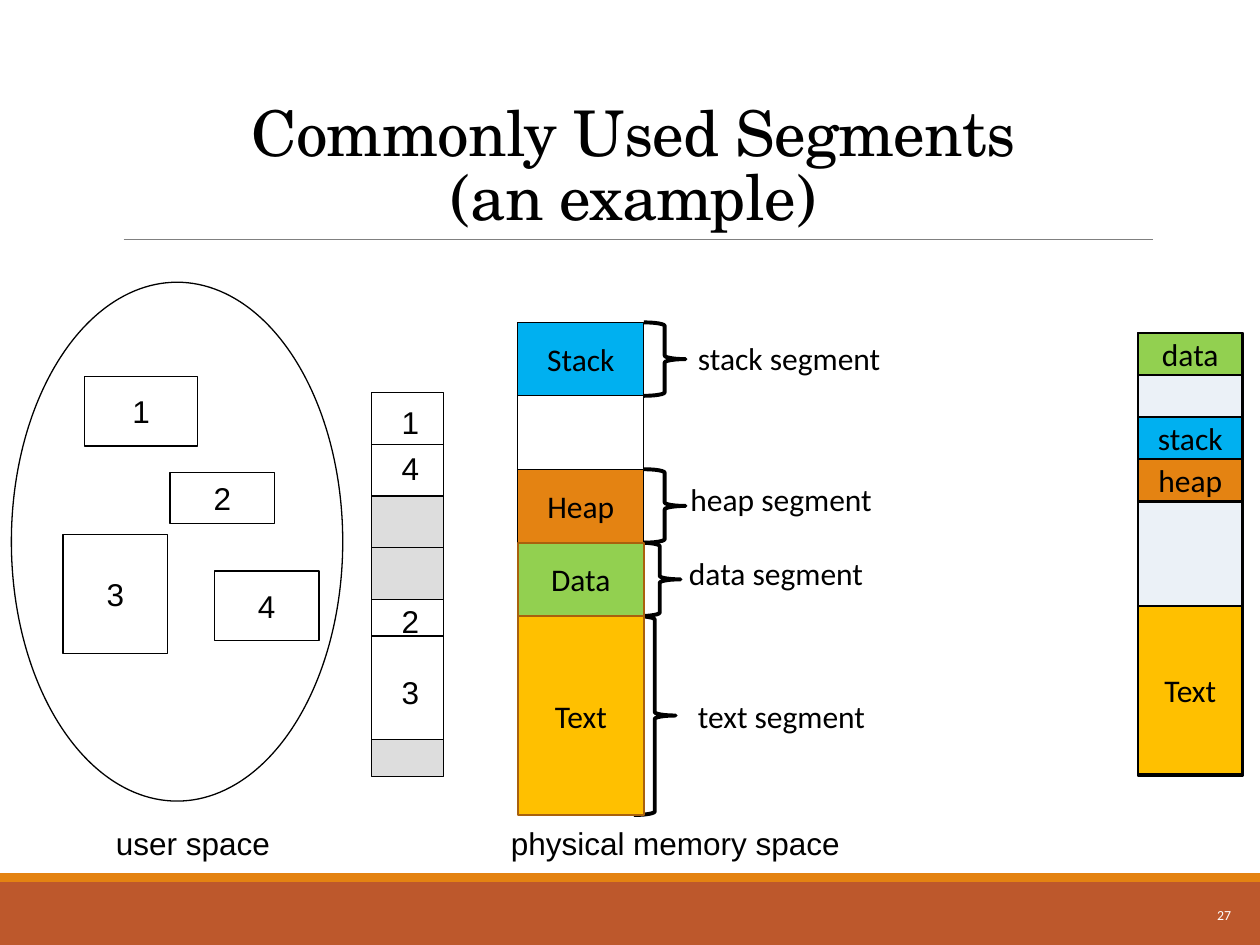
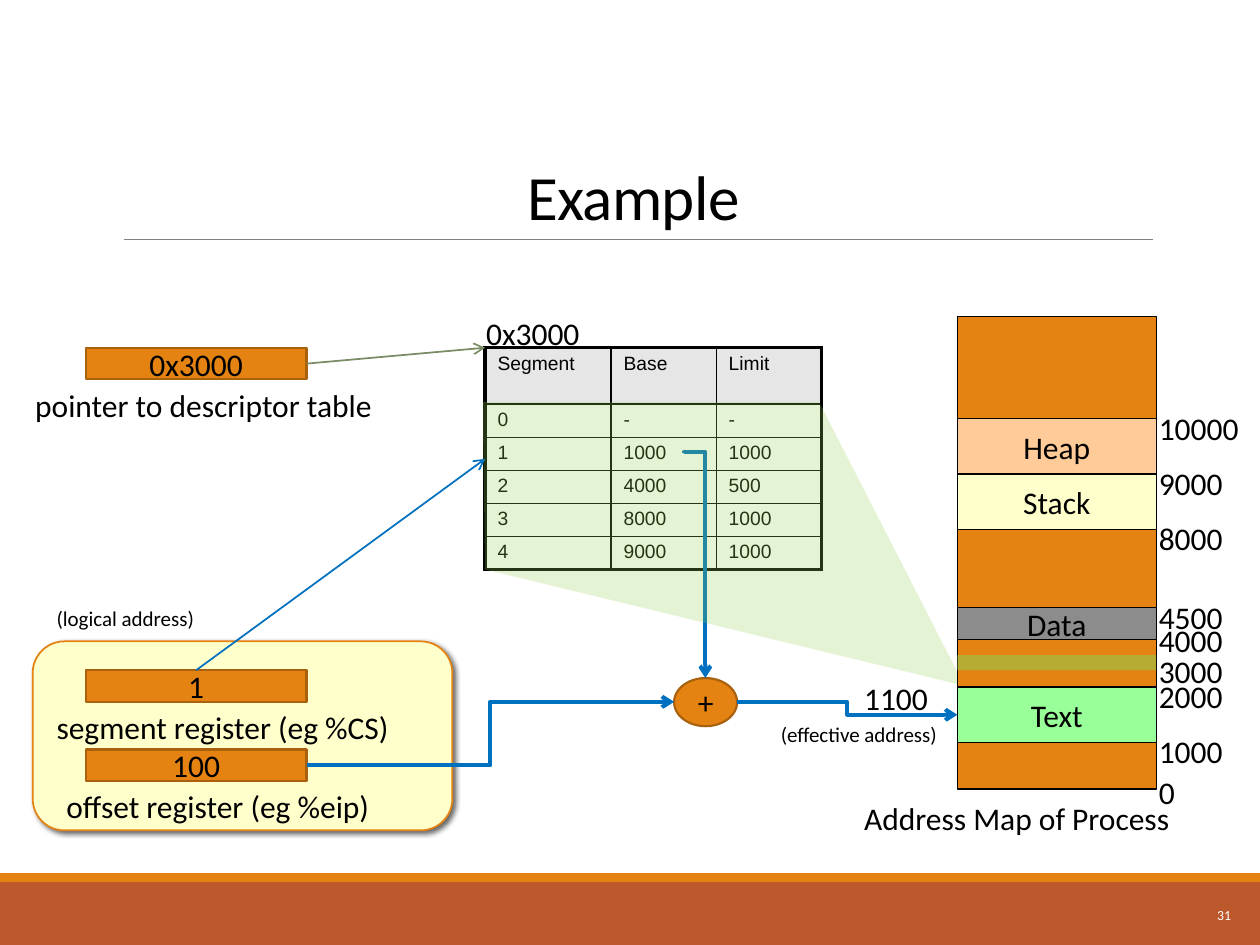
from pptx import Presentation
from pptx.dml.color import RGBColor
from pptx.enum.shapes import MSO_CONNECTOR, MSO_SHAPE
from pptx.enum.text import MSO_ANCHOR, MSO_AUTO_SIZE, PP_ALIGN
from pptx.oxml import parse_xml
from pptx.oxml.ns import nsdecls, qn
from pptx.util import Cm, Pt

BLACK = RGBColor(0x00, 0x00, 0x00)
WHITE = RGBColor(0xFF, 0xFF, 0xFF)
RUST = RGBColor(0xBD, 0x58, 0x2C)
ORANGE = RGBColor(0xE4, 0x83, 0x12)
BROWN = RGBColor(0xA9, 0x61, 0x0D)
RULE_GREY = RGBColor(0x80, 0x80, 0x80)
FREE_GREY = RGBColor(0xDD, 0xDD, 0xDD)
HEADER_GREY = RGBColor(0xE6, 0xE6, 0xE6)
DATA_GREY = RGBColor(0x8C, 0x8C, 0x8C)
SKY = RGBColor(0x00, 0xB0, 0xF0)
BLUE = RGBColor(0x00, 0x70, 0xC0)
PALE_BLUE = RGBColor(0xEB, 0xF1, 0xF7)
GREEN = RGBColor(0x92, 0xD0, 0x50)
MINT = RGBColor(0x99, 0xFF, 0x99)
OLIVE = RGBColor(0x7B, 0x8B, 0x66)
GOLD = RGBColor(0xFF, 0xC0, 0x00)
CREAM = RGBColor(0xFF, 0xFF, 0xCC)
PEACH = RGBColor(0xFF, 0xCC, 0x99)

SANS, PLAIN, SERIF = "Calibri", "Arial", "TeX Gyre Schola"


# ---- Basic parts; all lengths are centimetres ----
def write(frame, text, size=18, font=SANS, color=BLACK, align=PP_ALIGN.LEFT,
          anchor=MSO_ANCHOR.TOP, spacing=None, tracking=None):
    frame.word_wrap = True
    frame.vertical_anchor = anchor
    para = frame.paragraphs[0]
    para.alignment = align
    if spacing:
        para.line_spacing = spacing
    for number, line in enumerate(text.split("\n")):
        if number:
            para.add_line_break()
        span = para.add_run()
        span.text = line
        span.font.size = Pt(size)
        span.font.name = font
        span.font.color.rgb = color
        if tracking:
            span.font._element.set("spc", str(tracking))


def add_text(page, text, left, top, width, height=1.02, inset=None, **style):
    box = page.shapes.add_textbox(Cm(left), Cm(top), Cm(width), Cm(height))
    frame = box.text_frame
    if inset is not None:
        frame.margin_left = frame.margin_right = Cm(inset)
        frame.margin_top = frame.margin_bottom = Cm(inset)
    write(frame, text, **style)


def paint(shape, fill=None, line=None, weight=0.75, alpha=None):
    shape.shadow.inherit = False
    if fill is None:
        shape.fill.background()
    else:
        shape.fill.solid()
        shape.fill.fore_color.rgb = fill
    if alpha:
        color = shape._element.spPr.find(f"{qn('a:solidFill')}/{qn('a:srgbClr')}")
        color.append(parse_xml(f'<a:alpha {nsdecls("a")} val="{alpha * 1000}"/>'))
    if line is None:
        shape.line.fill.background()
    else:
        shape.line.color.rgb = line
        shape.line.width = Pt(weight)


def add_block(page, left, top, width, height, fill=None, line=BLACK, weight=0.75,
              kind=MSO_SHAPE.RECTANGLE, text="", font=SANS, alpha=None):
    block = page.shapes.add_shape(kind, Cm(left), Cm(top), Cm(width), Cm(height))
    paint(block, fill, line, weight, alpha)
    if text:
        write(block.text_frame, text, font=font, align=PP_ALIGN.CENTER,
              anchor=MSO_ANCHOR.MIDDLE)
    return block


def add_line(page, start, end, color=BLACK, weight=0.75, arrow=False,
             kind=MSO_CONNECTOR.STRAIGHT):
    line = page.shapes.add_connector(kind, *map(Cm, start + end))
    line.line.color.rgb = color
    line.line.width = Pt(weight)
    properties = line._element.spPr
    if arrow:
        properties.find(qn("a:ln")).append(
            parse_xml(f'<a:tailEnd {nsdecls("a")} type="arrow"/>'))
    properties.append(parse_xml(f'<a:effectLst {nsdecls("a")}/>'))
    return line


def add_elbow(page, start, end, source=None, target=None):
    """Bent arrow; source and target are (shape, connection site) pairs."""
    elbow = add_line(page, start, end, BLUE, 2.25, True, MSO_CONNECTOR.ELBOW)
    if source:
        elbow._connect_begin_to(*source)
    if target:
        elbow._connect_end_to(*target)
    return elbow


def add_page(deck, title, number, font):
    page = deck.slides.add_slide(deck.slide_layouts[5])
    add_block(page, 0, 17.78, 25.4, 1.27, RUST, None)
    add_block(page, 0, 17.6, 25.4, 0.18, ORANGE, None)
    add_line(page, (2.49, 4.83), (23.24, 4.83), RULE_GREY, 0.5)
    heading = page.shapes.title
    heading.left, heading.top = Cm(2.29), Cm(0.79)
    heading.width, heading.height = Cm(20.96), Cm(4.04)
    heading.text_frame.auto_size = MSO_AUTO_SIZE.NONE
    write(heading.text_frame, title, size=36, font=font, align=PP_ALIGN.CENTER,
          anchor=MSO_ANCHOR.BOTTOM, spacing=0.85, tracking=-40)
    add_text(page, number, 22.33, 17.93, 2.74, size=7.9, color=WHITE,
             align=PP_ALIGN.RIGHT, anchor=MSO_ANCHOR.MIDDLE)
    return page


# ---- Regions of the segments page ----
def add_caption(page, text, left, top, width):
    add_text(page, text, left, top, width, font=PLAIN, align=PP_ALIGN.CENTER,
             anchor=MSO_ANCHOR.MIDDLE)


def draw_user_space(page, left, top):
    add_block(page, left, top, 6.68, 10.46, WHITE, kind=MSO_SHAPE.OVAL)
    for text, x, y, width, height in (
            ("1", 1.47, 1.9, 2.29, 1.4), ("3", 1.04, 5.08, 2.11, 2.41),
            ("2", 3.2, 3.84, 2.11, 1.02), ("4", 4.09, 5.82, 2.11, 1.4)):
        add_block(page, left + x, top + y, width, height, WHITE, text=text, font=PLAIN)
    add_caption(page, "user space", left + 1.74, top + 10.79, 3.84)


def draw_numbered_memory(page, left, top, width):
    for y, height, fill in ((0, 2.08, WHITE), (2.08, 2.08, FREE_GREY),
                            (4.17, 2.82, WHITE), (6.99, 0.74, FREE_GREY)):
        add_block(page, left, top + y, width, height, fill)
    for y in (1.04, 3.12, 4.9):
        add_line(page, (left, top + y), (left + width, top + y))
    for digit, middle in (("1", 0.58), ("4", 1.52), ("2", 4.6), ("3", 6.02)):
        add_text(page, digit, left + 0.06, top + middle - 0.36, width, 0.72, inset=0,
                 font=PLAIN, align=PP_ALIGN.CENTER, anchor=MSO_ANCHOR.MIDDLE)


def draw_segments(page, left, top, width):
    row = 1.48
    # Braces and labels: first row, height, brace x, label x, label y
    for name, index, height, brace_x, label_x, label_y in (
            ("stack", 0, row, 2.54, 3.38, 0.2), ("heap", 2, row, 2.54, 3.23, 3.05),
            ("data", 3, row, 2.44, 3.2, 4.55), ("text", 4, 4.01, 2.34, 3.38, 7.42)):
        add_block(page, left + brace_x, top + index * row, 0.84, height,
                  weight=2.25, kind=MSO_SHAPE.RIGHT_BRACE)
        add_text(page, f"{name} segment", left + label_x, top + label_y, 4.7)
    for index, (name, height, fill, line, weight) in enumerate((
            ("Stack", row, SKY, BLACK, 0.75), ("", row, WHITE, BLACK, 0.75),
            ("Heap", row, ORANGE, BLACK, 0.75), ("Data", row, GREEN, BROWN, 1.25),
            ("Text", 4.01, GOLD, BROWN, 1.25))):
        add_block(page, left, top + index * row, width, height, fill, line, weight,
                  text=name)
    add_caption(page, "physical memory space", left - 0.43, top + 9.98, 7.21)


def draw_scattered_segments(page, left, top, width):
    add_block(page, left, top, width, 8.94, PALE_BLUE, weight=1.25)
    for name, y, height, fill in (("Text", 5.51, 3.38, GOLD), ("stack", 1.7, 0.85, SKY),
                                  ("heap", 2.55, 0.85, ORANGE), ("data", 0, 0.85, GREEN)):
        add_block(page, left, top + y, width, height, fill, weight=1.25, text=name)


# ---- Regions of the example page ----
def add_register(page, value, left, top):
    return add_block(page, left, top, 4.45, 0.64, ORANGE, BROWN, 1.25, text=value)


def draw_registers(page, left, top):
    panel = add_block(page, left, top, 8.46, 3.81, CREAM, ORANGE, 1,
                      kind=MSO_SHAPE.ROUNDED_RECTANGLE)
    panel._element.spPr.find(qn("a:effectLst")).append(parse_xml(
        f'<a:outerShdw {nsdecls("a")} blurRad="38100" dist="25400" dir="2700000">'
        '<a:srgbClr val="000000"><a:alpha val="60000"/></a:srgbClr></a:outerShdw>'))
    add_text(page, "(logical address)", left + 0.23, top - 0.84, 3.66, 0.76, size=12)
    registers = []
    for value, y, label, label_x in (
            ("1", 0.58, "segment register (eg %CS)", 0.23),
            ("100", 2.18, "offset register (eg %eip)", 0.43)):
        registers.append(add_register(page, value, left + 1.07, top + y))
        add_text(page, label, left + label_x, top + y + 0.64, 9.53)
    return registers


def set_borders(cell, **weights):
    properties = cell._tc.get_or_add_tcPr()
    for side in "LRTB":
        properties.append(parse_xml(
            f'<a:ln{side} {nsdecls("a")} w="{Pt(weights[side])}"><a:solidFill>'
            f'<a:srgbClr val="{BLACK}"/></a:solidFill></a:ln{side}>'))


def draw_descriptor_table(page, left, top):
    rows = (("Segment", "Base", "Limit"), ("0", "-", "-"), ("1", "1000", "1000"),
            ("2", "4000", "500"), ("3", "8000", "1000"), ("4", "9000", "1000"))
    widths, heights = (2.54, 2.12, 2.12), (1.14,) + (0.66,) * 5
    table = page.shapes.add_table(len(rows), len(widths), Cm(left), Cm(top),
                                  Cm(sum(widths)), Cm(sum(heights))).table
    table.first_row = table.horz_banding = False
    for column, width in zip(table.columns, widths):
        column.width = Cm(width)
    for r, values in enumerate(rows):
        table.rows[r].height = Cm(heights[r])
        for c, value in enumerate(values):
            cell = table.cell(r, c)
            cell.margin_left = cell.margin_right = Cm(0.25)
            cell.margin_top = cell.margin_bottom = Cm(0.1)
            write(cell.text_frame, value, size=11, font=PLAIN)
            set_borders(cell, L=2.25 if c == 0 else 1, T=2.25 if r == 0 else 1,
                        R=2.25 if c == len(widths) - 1 else 1,
                        B=2.25 if r == len(rows) - 1 else 1)
            if r == 0:
                cell.fill.solid()
                cell.fill.fore_color.rgb = HEADER_GREY
            else:
                cell.fill.background()
    add_text(page, "0x3000", left - 0.23, top - 0.81, 2.62)


def draw_address_map(page, left, top, width):
    add_block(page, left, top, width, 9.53, ORANGE)
    blocks = {}
    for name, y, height, fill in (("Text", 7.47, 1.12, MINT), ("Data", 5.87, 0.64, DATA_GREY),
                                  ("Stack", 3.18, 1.12, CREAM), ("Heap", 2.06, 1.12, PEACH)):
        blocks[name] = add_block(page, left, top + y, width, height, fill, text=name)
    # Place of the descriptor table in memory
    add_block(page, left, top + 6.83, width, 0.3, GREEN, None, alpha=54)
    for address, y in (("0", 9.07), ("1000", 8.26), ("2000", 7.14), ("3000", 6.63),
                       ("4000", 6.02), ("4500", 5.56), ("8000", 3.96),
                       ("9000", 2.84), ("10000", 1.75)):
        add_text(page, address, left + 3.81, top + y, 2.29)
    add_text(page, "Address Map of Process", left - 2.13, top + 9.6, 7.54)
    return blocks["Text"]


def draw_table_projection(page):
    points = [(Cm(x), Cm(y)) for x, y in (
        (16.51, 8.1), (19.28, 13.51), (19.3, 13.79), (9.78, 11.48), (9.73, 8.1))]
    builder = page.shapes.build_freeform(*points[0])
    builder.add_line_segments(points[1:], close=True)
    paint(builder.convert_to_shape(), GREEN, alpha=25)


def draw_translation(page, offset, text_block):
    plus = add_block(page, 13.59, 13.67, 1.27, 0.97, ORANGE, BROWN, 1.25,
                     kind=MSO_SHAPE.OVAL, text="+")
    # A quarter turn makes the elbow leave the base cell sideways and drop
    drop = add_elbow(page, (16.28, 11.18), (11.73, 11.61), target=(plus, 0))
    drop._element.spPr.find(qn("a:xfrm")).set("rot", "16200000")
    guides = drop._element.spPr.find(qn("a:prstGeom")).get_or_add_avLst()
    guides.append(parse_xml(f'<a:gd {nsdecls("a")} name="adj1" fmla="val -200"/>'))
    add_elbow(page, (6.18, 15.43), (13.59, 14.15), (offset, 3), (plus, 2))
    draw_table_projection(page)
    add_elbow(page, (14.86, 14.15), (19.3, 14.41), (plus, 6), (text_block, 1))
    add_text(page, "1100", 17.17, 13.56, 2)
    add_text(page, "(effective address)", 15.49, 14.43, 4.01, 0.76, size=12)


# ---- Pages ----
def build_segments_page(deck):
    page = add_page(deck, "Commonly Used Segments\n(an example)", "27", SERIF)
    draw_user_space(page, 0.23, 5.69)
    draw_numbered_memory(page, 7.49, 7.92, 1.45)
    draw_segments(page, 10.44, 6.5, 2.54)
    draw_scattered_segments(page, 22.94, 6.71, 2.11)


def build_example_page(deck):
    page = add_page(deck, "Example", "31", SANS)
    segment, offset = draw_registers(page, 0.66, 12.93)
    draw_descriptor_table(page, 9.78, 7.01)
    text_block = draw_address_map(page, 19.3, 6.38, 4.01)
    pointer = add_register(page, "0x3000", 1.73, 7.01)
    add_text(page, "pointer to descriptor table", 0.46, 7.65, 7.82)
    add_line(page, (6.18, 7.33), (9.78, 7.01), OLIVE, 1, True).begin_connect(pointer, 3)
    add_line(page, (3.95, 13.51), (9.78, 9.25), BLUE, 1, True).begin_connect(segment, 0)
    draw_translation(page, offset, text_block)


def main():
    deck = Presentation()
    deck.slide_width, deck.slide_height = Cm(25.4), Cm(19.05)
    build_segments_page(deck)
    build_example_page(deck)
    deck.save("out.pptx")


if __name__ == "__main__":
    main()
